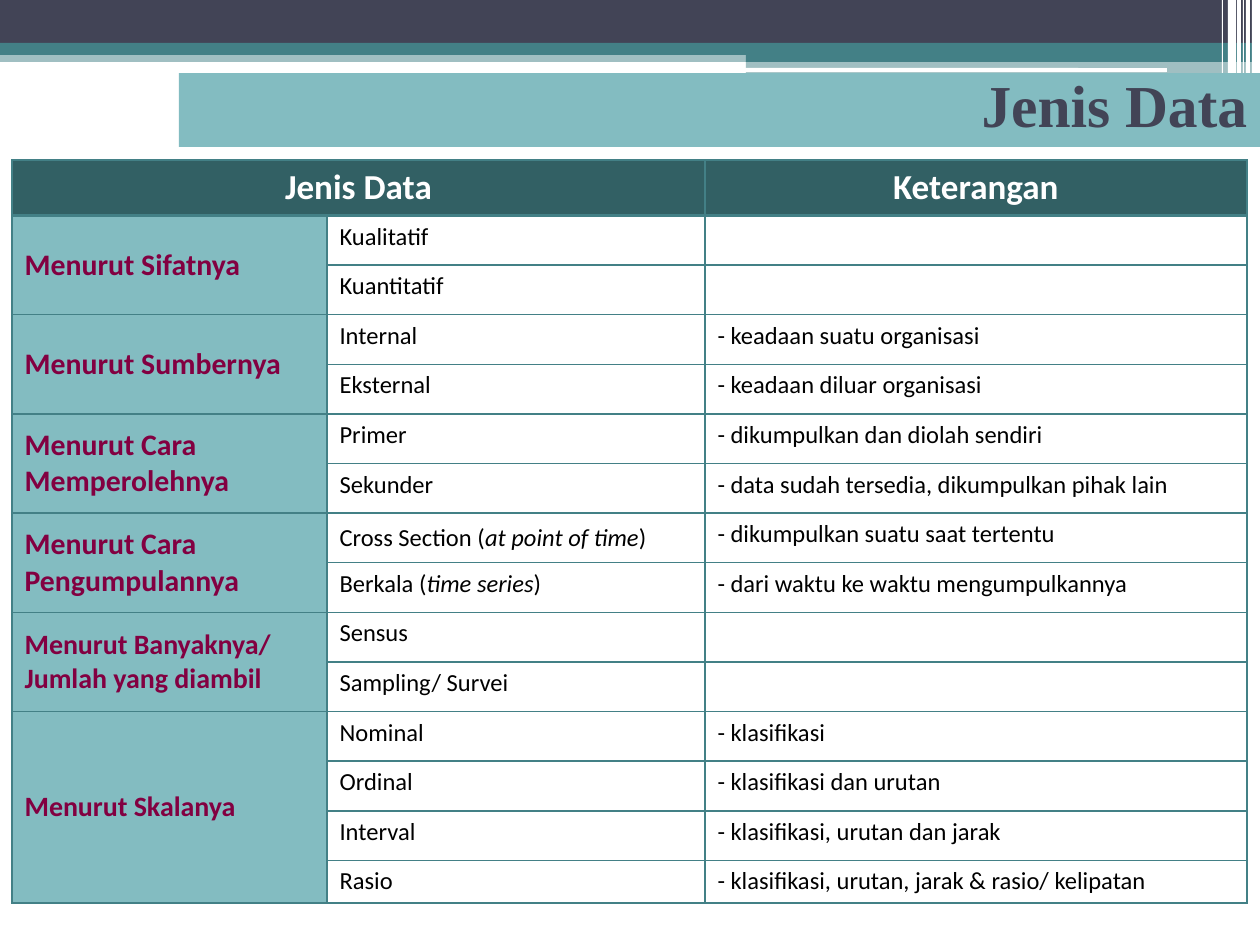
from lxml.etree import SubElement
from pptx import Presentation
from pptx.dml.color import RGBColor
from pptx.enum.shapes import MSO_SHAPE
from pptx.enum.text import MSO_ANCHOR, PP_ALIGN
from pptx.oxml.ns import qn
from pptx.util import Pt

SCALE = 914400 // 126
WHITE = RGBColor(0xFF, 0xFF, 0xFF)
BLACK = RGBColor(0, 0, 0)
NAVY = RGBColor(0x42, 0x44, 0x56)
TEAL = RGBColor(0x43, 0x80, 0x86)
DARK_TEAL = RGBColor(0x32, 0x60, 0x64)
LIGHT_TEAL = RGBColor(0x83, 0xBC, 0xC1)
MAROON = RGBColor(0x82, 0x00, 0x41)

GROUPS = [
    ("Menurut Sifatnya", 17, [("Kualitatif", ""), ("Kuantitatif", "")]),
    ("Menurut Sumbernya", 17, [
        ("Internal", "- keadaan suatu organisasi"),
        ("Eksternal", "- keadaan diluar organisasi")]),
    ("Menurut Cara Memperolehnya", 17, [
        ("Primer", "- dikumpulkan dan diolah sendiri"),
        ("Sekunder", "- data sudah tersedia, dikumpulkan pihak lain")]),
    ("Menurut Cara Pengumpulannya", 17, [
        ("Cross Section (|at point of time|)", "- dikumpulkan suatu saat tertentu"),
        ("Berkala (|time series|)", "- dari waktu ke waktu mengumpulkannya")]),
    ("Menurut Banyaknya/ Jumlah yang diambil", 16, [("Sensus", ""), ("Sampling/ Survei", "")]),
    ("Menurut Skalanya", 16, [
        ("Nominal", "- klasifikasi"),
        ("Ordinal", "- klasifikasi dan urutan"),
        ("Interval", "- klasifikasi, urutan dan jarak"),
        ("Rasio", "- klasifikasi, urutan, jarak & rasio/ kelipatan")]),
]


def px(n):
    """Turn picture pixels into EMU."""
    return n * SCALE


def add_bar(s, box, color, alpha=None, kind=MSO_SHAPE.RECTANGLE):
    """Add a plain filled bar, optionally transparent."""
    sp = s.shapes.add_shape(kind, *map(px, box))
    sp.shadow.inherit = False
    sp.line.fill.background()
    sp.fill.solid()
    sp.fill.fore_color.rgb = color
    if alpha:
        clr = sp.fill._xPr.find(qn("a:solidFill"))[0]
        SubElement(clr, qn("a:alpha"), val=str(alpha * 1000))
    return sp


def add_header(s, x, y, w):
    """Draw the header bands and the white stripes at their right end."""
    mid, right = x + 746, x + w
    add_bar(s, (x, y + 50, w, 12), TEAL, 50)
    add_bar(s, (x, y, w, 43), NAVY)
    add_bar(s, (x, y + 43, w, 12), TEAL)
    add_bar(s, (mid, y + 49, right - mid, 13), TEAL)
    add_bar(s, (mid, y + 61, right - mid, 25), TEAL, 50)
    add_bar(s, (mid - 1, y + 68, 422, 4), WHITE, kind=MSO_SHAPE.ROUNDED_RECTANGLE)
    for offset, width, height in ((8, 8, 86), (14, 4, 86), (17, 1, 86),
                                  (23, 4, 86), (32, 8, 81), (38, 1, 81)):
        add_bar(s, (right - offset, y, width, height), WHITE)


def add_title(s, x, y, w, h):
    """Place and format the title on its coloured band."""
    title = s.shapes.title
    s.shapes._spTree.append(title._element)
    title.left, title.top, title.width, title.height = map(px, (x, y, w, h))
    title.fill.solid()
    title.fill.fore_color.rgb = LIGHT_TEAL
    tf = title.text_frame
    tf.text = "Jenis Data"
    tf.vertical_anchor = MSO_ANCHOR.MIDDLE
    p = tf.paragraphs[0]
    p.alignment = PP_ALIGN.RIGHT
    p.line_spacing = 0.8
    font = p.runs[0].font
    font.name, font.size, font.bold = "Times New Roman", Pt(34), True
    font.color.rgb = NAVY


def set_borders(cell, top=1, bottom=1):
    """Give a cell borders with the stated widths in points."""
    tcPr = cell._tc.get_or_add_tcPr()
    for i, (side, width) in enumerate((("L", 1), ("R", 1), ("T", top), ("B", bottom))):
        ln = tcPr.makeelement(qn("a:ln" + side), {"w": str(Pt(width))})
        fill = SubElement(ln, qn("a:solidFill"))
        SubElement(fill, qn("a:srgbClr"), val=str(TEAL))
        tcPr.insert(i, ln)


def set_cell(cell, text, size=14, color=BLACK, bold=False, fill=None,
             align=PP_ALIGN.LEFT, anchor=MSO_ANCHOR.TOP):
    """Fill a cell; text between bars is italic."""
    if fill is None:
        cell.fill.background()
    else:
        cell.fill.solid()
        cell.fill.fore_color.rgb = fill
    cell.vertical_anchor = anchor
    p = cell.text_frame.paragraphs[0]
    p.alignment = align
    if not text:
        p._p.get_or_add_endParaRPr().set("sz", str(size * 100))
        return
    for i, part in enumerate(text.split("|")):
        r = p.add_run()
        r.text = part
        font = r.font
        font.name, font.size, font.bold = "Calibri", Pt(size), bold
        font.italic = i % 2 == 1
        font.color.rgb = color


def add_data_table(s, x, y, widths):
    """Add the table of data types with one merged label for each group."""
    count = sum(len(items) for _, _, items in GROUPS)
    heights = [px(55)] + [px(645) // 13] * (count - 1) + [px(42)]
    table = s.shapes.add_table(count + 1, 3, px(x), px(y), px(sum(widths)), sum(heights)).table
    table.horz_banding = False
    for column, width in zip(table.columns, widths):
        column.width = px(width)
    for row, height in zip(table.rows, heights):
        row.height = height
    head = dict(size=20, color=WHITE, bold=True, fill=DARK_TEAL, align=PP_ALIGN.CENTER)
    table.cell(0, 0).merge(table.cell(0, 1))
    set_cell(table.cell(0, 0), "Jenis Data", anchor=MSO_ANCHOR.MIDDLE, **head)
    set_cell(table.cell(0, 1), "", fill=DARK_TEAL)
    set_cell(table.cell(0, 2), "Keterangan", **head)
    first = 1
    for label, size, items in GROUPS:
        table.cell(first, 0).merge(table.cell(first + len(items) - 1, 0))
        for i, (name, note) in enumerate(items):
            set_cell(table.cell(first + i, 0), "" if i else label, 14 if i else size, MAROON,
                     True, LIGHT_TEAL, anchor=MSO_ANCHOR.MIDDLE)
            anchor = MSO_ANCHOR.MIDDLE if name.startswith("Cross") else MSO_ANCHOR.TOP
            set_cell(table.cell(first + i, 1), name, anchor=anchor)
            set_cell(table.cell(first + i, 2), note)
        first += len(items)
    for r in range(count + 1):
        for c in range(3):
            set_borders(table.cell(r, c), 2 if r == 1 else 1, 2 if r == 0 else 1)


def build_slide(prs):
    """Build the slide on the title-only layout."""
    s = prs.slides.add_slide(prs.slide_layouts[5])
    add_header(s, 0, 0, 1260)
    add_data_table(s, 12, 160, (315, 378, 542))
    add_title(s, 179, 73, 1081, 74)


prs = Presentation()
prs.slide_width, prs.slide_height = px(1260), px(945)
build_slide(prs)
prs.save("out.pptx")
